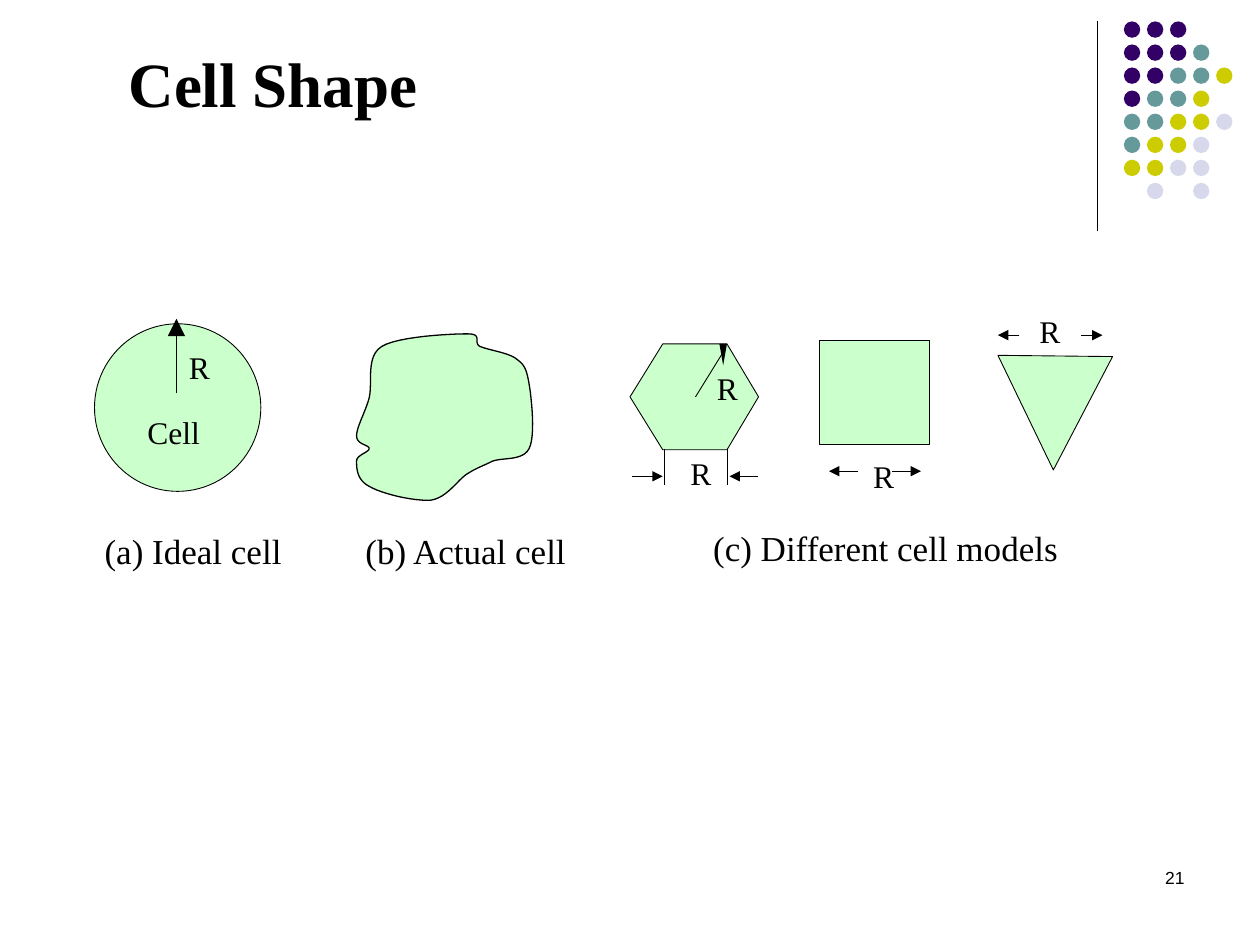
from dataclasses import dataclass

from lxml import etree
from pptx import Presentation
from pptx.dml.color import RGBColor
from pptx.enum.shapes import MSO_CONNECTOR as CONN, MSO_SHAPE as SHAPE
from pptx.enum.text import MSO_ANCHOR as ANCHOR, MSO_AUTO_SIZE as FIT, PP_ALIGN as ALIGN
from pptx.oxml.ns import qn
from pptx.util import Inches, Pt


@dataclass(frozen=True)
class Theme:
    ink: str = "000000"
    cell: str = "99FF99"
    cell_alpha: int = 50
    purple: str = "330066"
    teal: str = "669999"
    olive: str = "CCCC00"
    lilac: str = "D8D8EC"
    serif: str = "Times New Roman"
    sans: str = "Arial"
    title: int = 36
    caption: int = 20
    label: int = 18
    number: int = 10
    thin: float = 0.5
    medium: float = 0.75


T = Theme()


def rgb(color):
    return RGBColor.from_string(color)


def add_run(p, text, size, font=T.serif, bold=False):
    r = p.add_run()
    r.text = text
    r.font.size, r.font.name, r.font.bold = Pt(size), font, bold
    r.font.color.rgb = rgb(T.ink)


def paint(sp, color, alpha=None, line=None):
    sp.shadow.inherit = False
    sp.fill.solid()
    sp.fill.fore_color.rgb = rgb(color)
    if alpha is not None:
        clr = sp.fill._xPr.find(qn("a:solidFill"))[0]
        etree.SubElement(clr, qn("a:alpha")).set("val", str(alpha * 1000))
    if line is None:
        sp.line.fill.background()
    else:
        sp.line.color.rgb = rgb(T.ink)
        sp.line.width = Pt(line)


def paint_cell(sp, line=T.thin):
    paint(sp, T.cell, T.cell_alpha, line)


@dataclass
class Region:
    """A drawing area whose parts are placed in inches from its top left corner."""
    shapes: object
    x: float
    y: float

    def pos(self, x, y):
        return Inches(self.x + x), Inches(self.y + y)

    def shape(self, kind, x, y, w, h):
        return self.shapes.add_shape(kind, *self.pos(x, y), Inches(w), Inches(h))

    def polygon(self, points):
        start, *rest = [self.pos(*pt) for pt in points]
        builder = self.shapes.build_freeform(*start)
        builder.add_line_segments(rest, close=True)
        return builder.convert_to_shape()

    def line(self, start, end, width=T.thin, head=None):
        """Draw a line; head is the size of an arrowhead at its end."""
        cx = self.shapes.add_connector(CONN.STRAIGHT, *self.pos(*start), *self.pos(*end))
        cx.line.color.rgb = rgb(T.ink)
        cx.line.width = Pt(width)
        if head:
            tail = etree.SubElement(cx.line._get_or_add_ln(), qn("a:tailEnd"))
            for key, value in (("type", "triangle"), ("w", head), ("len", head)):
                tail.set(key, value)
        etree.SubElement(cx._element.spPr, qn("a:effectLst"))

    def text(self, text, x, y, w, size=T.label):
        tb = self.shapes.add_textbox(*self.pos(x, y), Inches(w), Inches(size / 60))
        tf = tb.text_frame
        tf.margin_left = tf.margin_right = tf.margin_top = tf.margin_bottom = 0
        tf.word_wrap = False
        tf.auto_size = FIT.SHAPE_TO_FIT_TEXT
        add_run(tf.paragraphs[0], text, size)

    def radius_label(self, x, y):
        self.text("R", x, y, 0.17)

    def arrow_pair(self, y, left, right):
        """Draw two level arrows, each given as (from x, to x)."""
        for start, end in (left, right):
            self.line((start, y), (end, y), head="med")


def corner_dots(region):
    rows = ("PPP", "PPPT", "PPTTO", "PTTO", "TTOOL", "TOOL", "OOLL", " L L")
    colors = {"P": T.purple, "T": T.teal, "O": T.olive, "L": T.lilac}
    pitch, size = 0.183, 0.13
    region.line((0, 0), (0, 1.66), T.medium)
    for i, row in enumerate(rows):
        for j, key in enumerate(row):
            if key in colors:
                dot = region.shape(SHAPE.OVAL, 0.21 + j * pitch, i * pitch, size, size)
                paint(dot, colors[key])


def ideal_cell(region):
    paint_cell(region.shape(SHAPE.OVAL, 0, 0, 1.32, 1.33))
    region.text("Cell", 0.42, 0.71, 0.42)
    region.line((0.65, 0.55), (0.65, -0.04), head="lg")
    region.radius_label(0.75, 0.19)
    region.text("(a) Ideal cell", 0.08, 1.63, 1.41, T.caption)


def bezier(p0, p1, p2, p3, steps=12):
    for i in range(1, steps + 1):
        t = i / steps
        weights = ((1 - t) ** 3, 3 * t * (1 - t) ** 2, 3 * t * t * (1 - t), t ** 3)
        yield tuple(sum(w * p[k] for w, p in zip(weights, (p0, p1, p2, p3))) for k in (0, 1))


def actual_cell(region):
    start = (0.88, 0)
    curves = (
        ((0.75, 0), (0.33, 0.02), (0.2, 0.1)),
        ((0.07, 0.18), (0.13, 0.39), (0.1, 0.51)),
        ((0.07, 0.62), (0, 0.74), (0, 0.81)),
        ((0, 0.88), (0.1, 0.88), (0.1, 0.91)),
        ((0.1, 0.94), (0, 0.96), (0, 1.01)),
        ((0, 1.06), (0, 1.16), (0.1, 1.21)),
        ((0.2, 1.27), (0.46, 1.33), (0.59, 1.32)),
        ((0.72, 1.3), (0.8, 1.16), (0.88, 1.11)),
        ((0.96, 1.06), (1, 1.05), (1.08, 1.01)),
        ((1.16, 0.98), (1.32, 1.01), (1.37, 0.91)),
        ((1.42, 0.81), (1.39, 0.52), (1.37, 0.4)),
        ((1.35, 0.29), (1.34, 0.25), (1.27, 0.2)),
        ((1.21, 0.15), (1.05, 0.13), (0.98, 0.1)),
        ((0.92, 0.07), (1.01, 0), start),
    )
    outline = [start]
    for curve in curves:
        outline.extend(bezier(outline[-1], *curve))
    paint_cell(region.polygon(outline), T.medium)
    region.text("(b) Actual cell", 0.07, 1.55, 1.61, T.caption)


def hexagon_model(region):
    paint_cell(region.polygon([(0.26, 0), (0, 0.42), (0.26, 0.84),
                               (0.77, 0.84), (1.02, 0.42), (0.77, 0)]))
    region.line((0.52, 0.42), (0.73, 0.08))
    paint(region.polygon([(0.71, 0), (0.77, 0), (0.74, 0.17)]), T.ink)
    region.radius_label(0.69, 0.2)
    for x in (0.27, 0.77):
        region.line((x, 0.83), (x, 1.12))
    region.arrow_pair(1.05, (0.02, 0.26), (1.02, 0.79))
    region.radius_label(0.48, 0.87)


def square_model(region):
    paint_cell(region.shape(SHAPE.RECTANGLE, 0, 0, 0.88, 0.83))
    region.arrow_pair(1.04, (0.31, 0.08), (0.58, 0.81))
    region.radius_label(0.43, 0.93)


def triangle_model(region):
    paint_cell(region.polygon([(0.44, 0.91), (0.91, 0.01), (0, 0)]))
    region.arrow_pair(-0.16, (0.17, 0), (0.66, 0.83))
    region.radius_label(0.33, -0.34)


def cell_models(region):
    for draw, x, y in ((hexagon_model, 0, 0.03), (square_model, 1.5, 0),
                       (triangle_model, 2.92, 0.12)):
        draw(Region(region.shapes, region.x + x, region.y + y))
    region.text("(c) Different cell models", 0.66, 1.48, 2.74, T.caption)


def place_title(title, text):
    title.left, title.top = Inches(0.92), Inches(0.17)
    title.width, title.height = Inches(8.5), Inches(0.83)
    tf = title.text_frame
    tf.vertical_anchor = ANCHOR.BOTTOM
    tf.auto_size = FIT.NONE
    p = tf.paragraphs[0]
    p.alignment = ALIGN.LEFT
    add_run(p, text, T.title, bold=True)


def page_number(shapes, number):
    tb = shapes.add_textbox(Inches(7.17), Inches(6.83), Inches(2.33), Inches(0.5))
    tb.text_frame.word_wrap = True
    p = tb.text_frame.paragraphs[0]
    p.alignment = ALIGN.RIGHT
    add_run(p, number, T.number, T.sans)


def main():
    prs = Presentation()
    prs.slide_width, prs.slide_height = Inches(10), Inches(7.5)
    shapes = prs.slides.add_slide(prs.slide_layouts[5]).shapes
    corner_dots(Region(shapes, 8.71, 0.17))
    place_title(shapes.title, "Cell Shape")
    ideal_cell(Region(shapes, 0.75, 2.57))
    actual_cell(Region(shapes, 2.83, 2.65))
    cell_models(Region(shapes, 5, 2.7))
    page_number(shapes, "21")
    prs.save("out.pptx")


if __name__ == "__main__":
    main()
